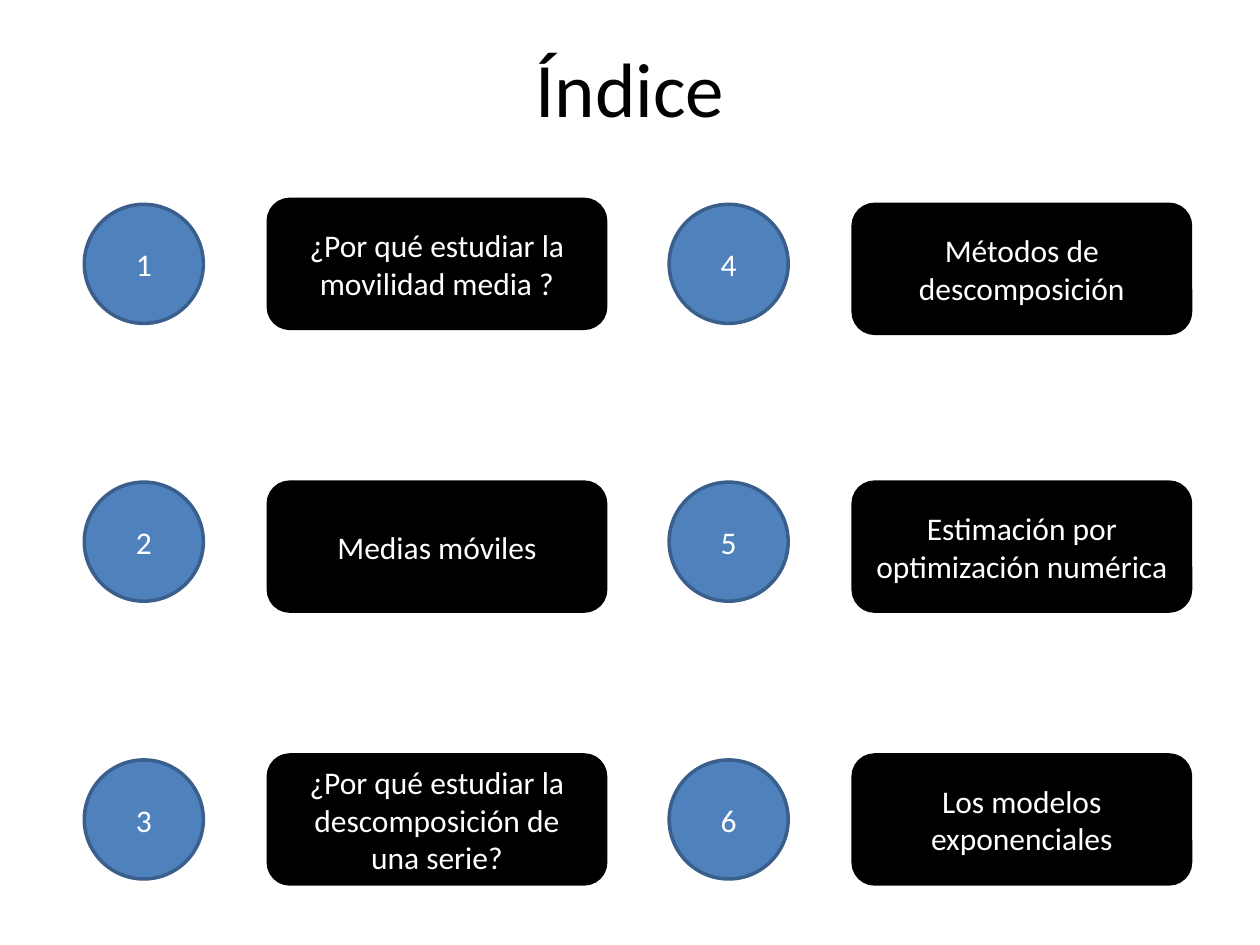
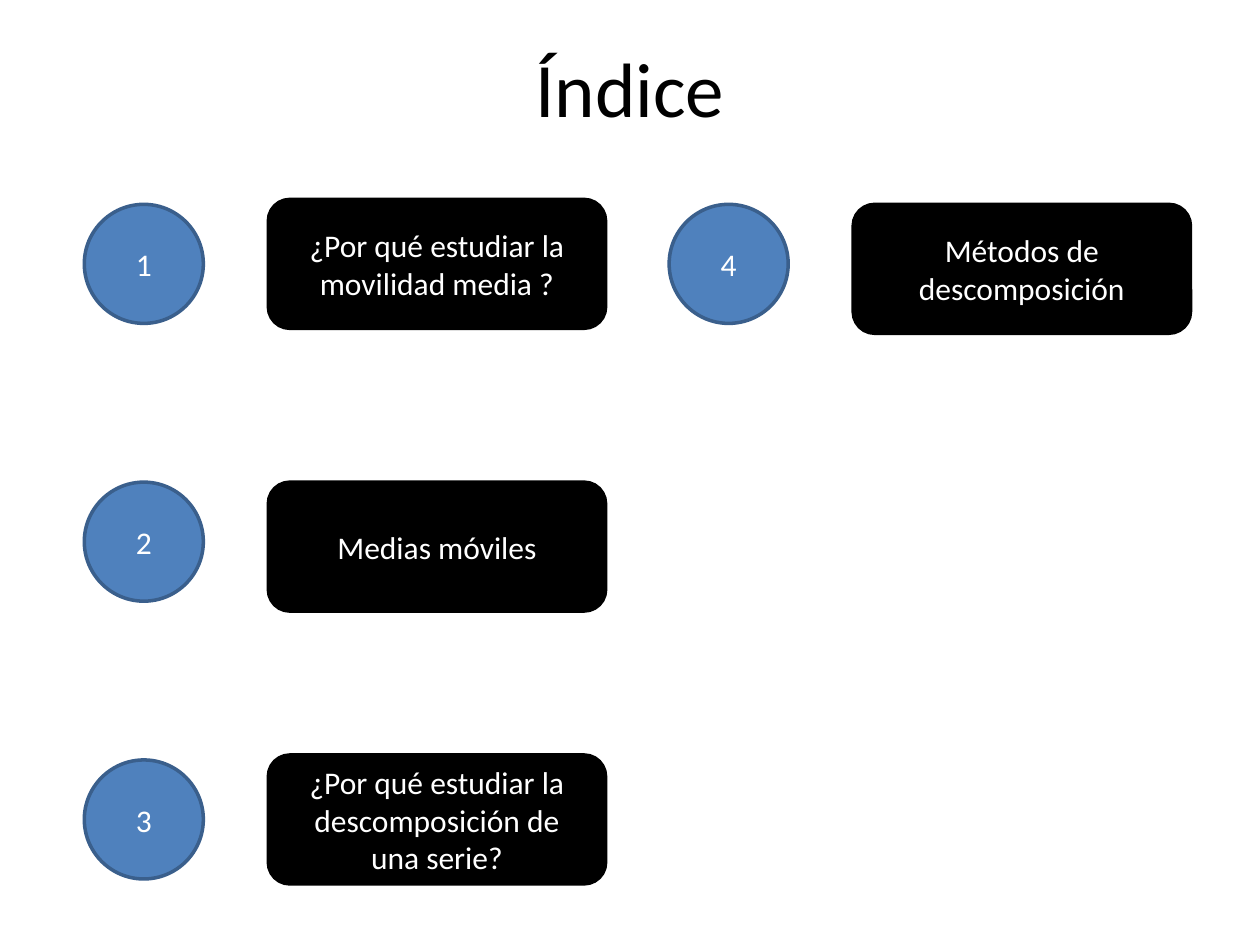
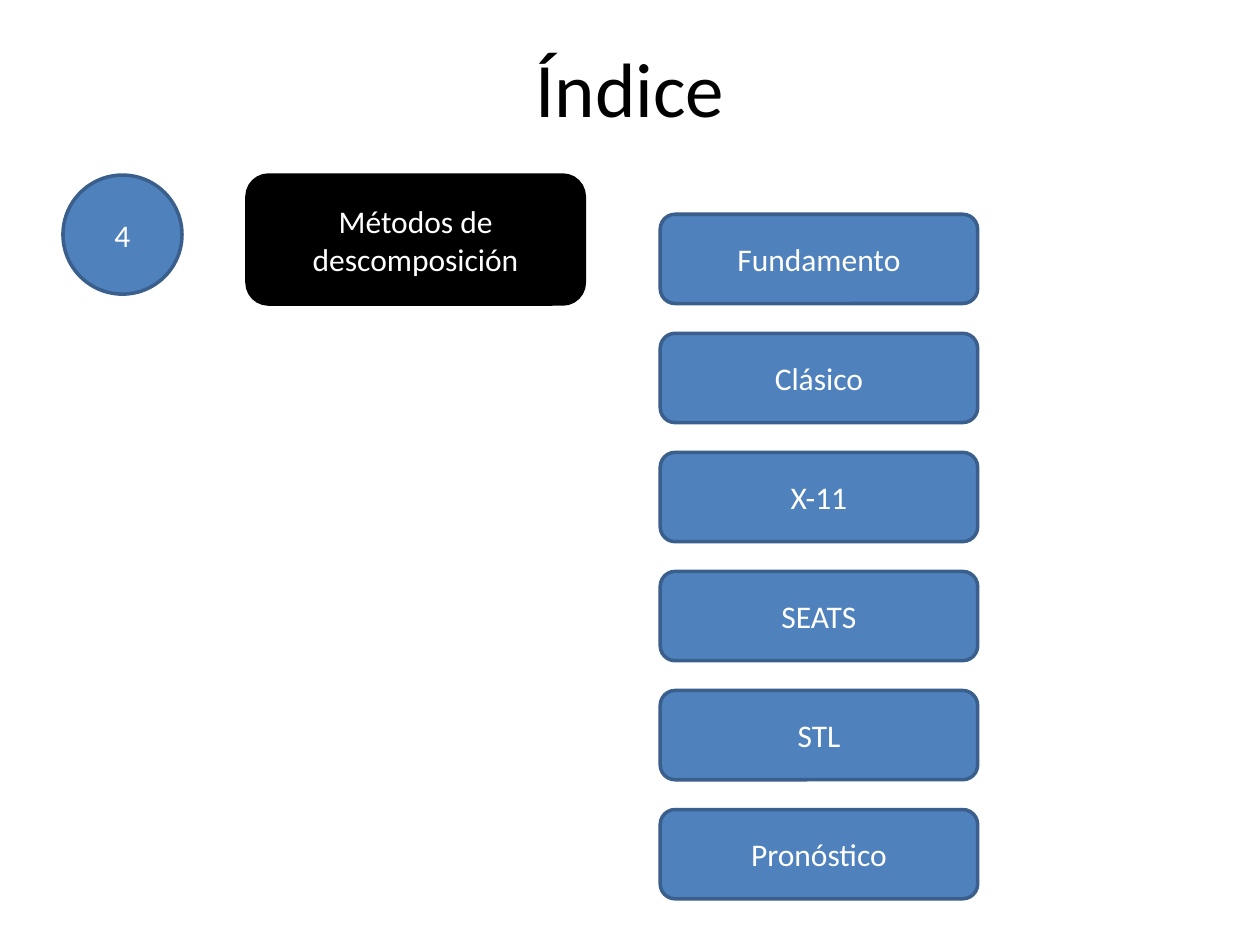
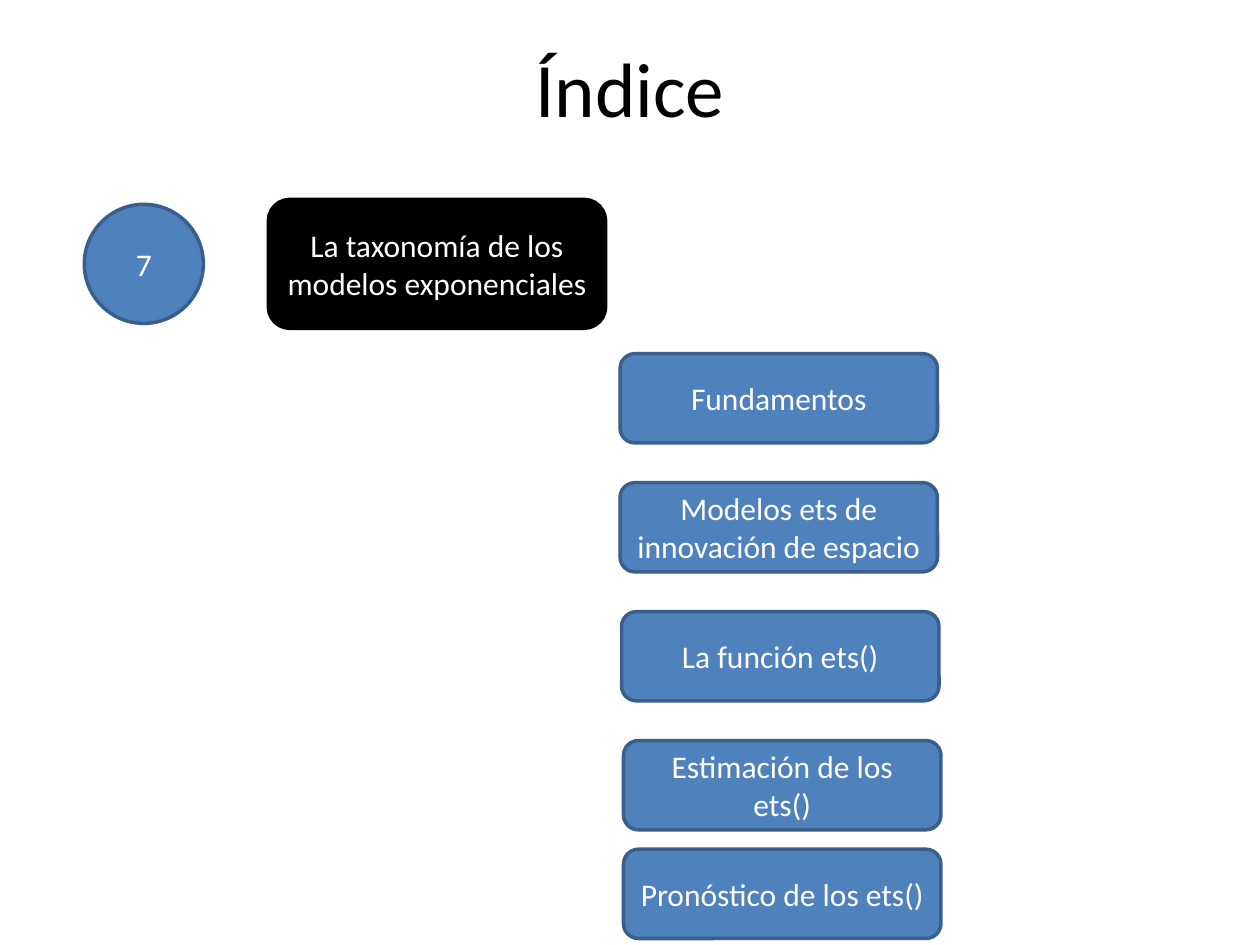
from pptx import Presentation
from pptx.dml.color import RGBColor
from pptx.enum.shapes import MSO_SHAPE
from pptx.enum.text import MSO_ANCHOR, PP_ALIGN
from pptx.util import Cm, Pt

BLACK = RGBColor(0x00, 0x00, 0x00)
WHITE = RGBColor(0xFF, 0xFF, 0xFF)
BLUE = RGBColor(0x4F, 0x81, 0xBD)
DARK_BLUE = RGBColor(0x3A, 0x5F, 0x8C)
FONT = "Calibri"

CIRCLE_SIZE = 2.4
TOPIC_SIZE = (6.8, 2.6)
SUBTOPIC_SIZE = (6.4, 1.8)
TOPIC_OFFSET = 3.71
FIRST_LEFT, FIRST_TOP = 1.7, 4.12
COLUMN_STEP, ROW_STEP = 11.79, 5.6
ROWS = 3

TOPICS = [
    ("¿Por qué estudiar la movilidad media ?", -0.1),
    ("Medias móviles", 0),
    ("¿Por qué estudiar la descomposición de una serie?", -0.1),
    ("Métodos de descomposición", 0),
    ("Estimación por optimización numérica", 0),
    ("Los modelos exponenciales", -0.1),
]
DECOMPOSITION_METHODS = ["Fundamento", "Clásico", "X-11", "SEATS", "STL", "Pronóstico"]
ETS_SUBTOPICS = [
    ("Fundamentos", 12.5, 7.13),
    ("Modelos ets de innovación de espacio", 12.5, 9.73),
    ("La función ets()", 12.53, 12.33),
    ("Estimación de los ets()", 12.57, 14.93),
    ("Pronóstico de los ets()", 12.57, 17.12),
]


def write_centred(holder, text, size, color):
    frame = holder.text_frame
    frame.word_wrap = True
    frame.vertical_anchor = MSO_ANCHOR.MIDDLE
    frame.text = text
    paragraph = frame.paragraphs[0]
    paragraph.alignment = PP_ALIGN.CENTER
    font = paragraph.runs[0].font
    font.name = FONT
    font.size = Pt(size)
    font.color.rgb = color


def add_index_slide(deck):
    slide = deck.slides.add_slide(deck.slide_layouts[6])
    title = slide.shapes.add_textbox(Cm(1.27), Cm(0.56), Cm(22.86), Cm(2.36))
    write_centred(title, "Índice", 44, BLACK)
    return slide


def add_label(slide, outline, text, left, top, size, fill, border):
    width, height = size
    label = slide.shapes.add_shape(outline, Cm(left), Cm(top), Cm(width), Cm(height))
    label.shadow.inherit = False
    label.fill.solid()
    label.fill.fore_color.rgb = fill
    label.line.color.rgb = border
    label.line.width = Pt(2)
    write_centred(label, text, 18, WHITE)


def add_topic(slide, number, text, left, top, rise=0):
    add_label(slide, MSO_SHAPE.OVAL, str(number), left, top,
              (CIRCLE_SIZE, CIRCLE_SIZE), BLUE, DARK_BLUE)
    add_label(slide, MSO_SHAPE.ROUNDED_RECTANGLE, text, left + TOPIC_OFFSET, top + rise,
              TOPIC_SIZE, BLACK, BLACK)


def add_subtopic(slide, text, left, top):
    add_label(slide, MSO_SHAPE.ROUNDED_RECTANGLE, text, left, top,
              SUBTOPIC_SIZE, BLUE, DARK_BLUE)


def add_topic_grid(slide, topics):
    for index, (text, rise) in enumerate(topics):
        column, row = divmod(index, ROWS)
        add_topic(slide, index + 1, text, FIRST_LEFT + column * COLUMN_STEP,
                  FIRST_TOP + row * ROW_STEP, rise)


def main():
    deck = Presentation()
    deck.slide_width, deck.slide_height = Cm(25.4), Cm(19.05)

    add_topic_grid(add_index_slide(deck), TOPICS)
    add_topic_grid(add_index_slide(deck), TOPICS[:4])

    decomposition = add_index_slide(deck)
    add_topic(decomposition, 4, "Métodos de descomposición", 1.27, 3.53)
    for row, method in enumerate(DECOMPOSITION_METHODS):
        add_subtopic(decomposition, method, 13.31, 4.32 + row * 2.4)

    taxonomy = add_index_slide(deck)
    add_topic(taxonomy, 7, "La taxonomía de los modelos exponenciales",
              FIRST_LEFT, FIRST_TOP, -0.1)
    for text, left, top in ETS_SUBTOPICS:
        add_subtopic(taxonomy, text, left, top)

    deck.save("out.pptx")


if __name__ == "__main__":
    main()
